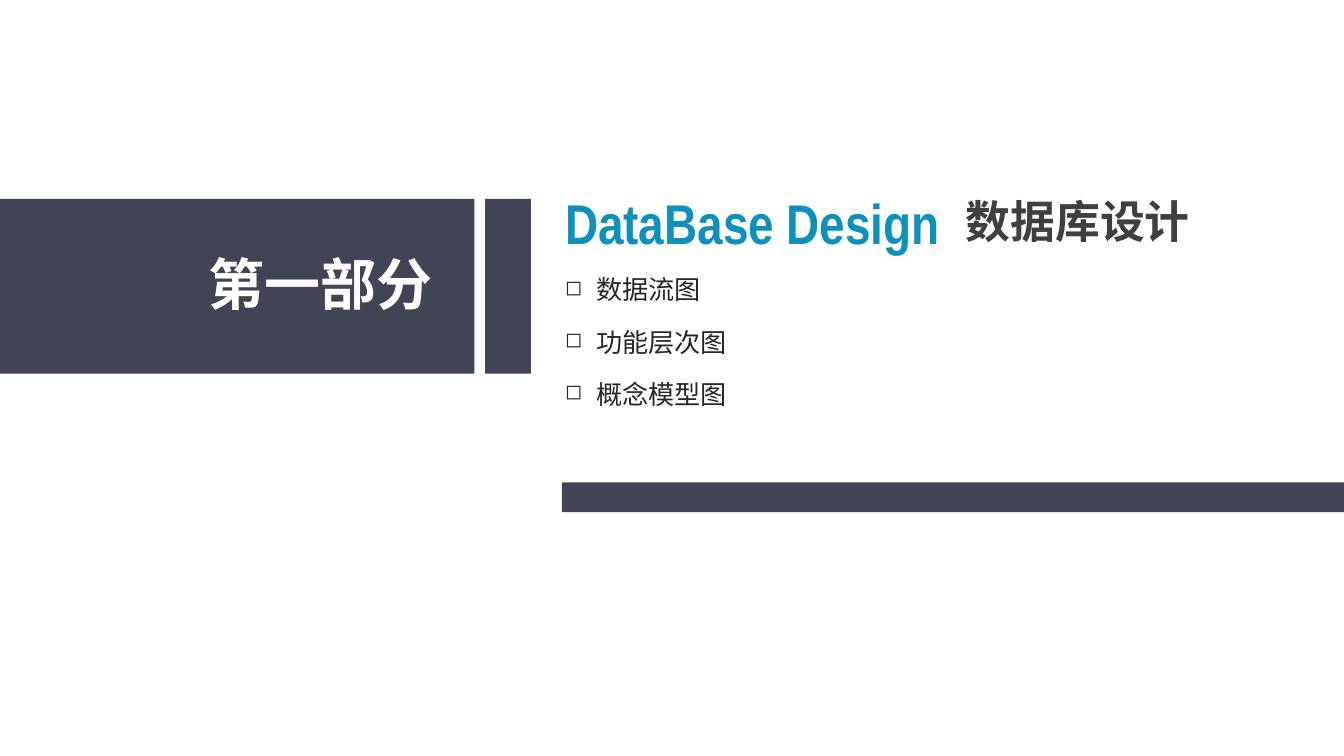
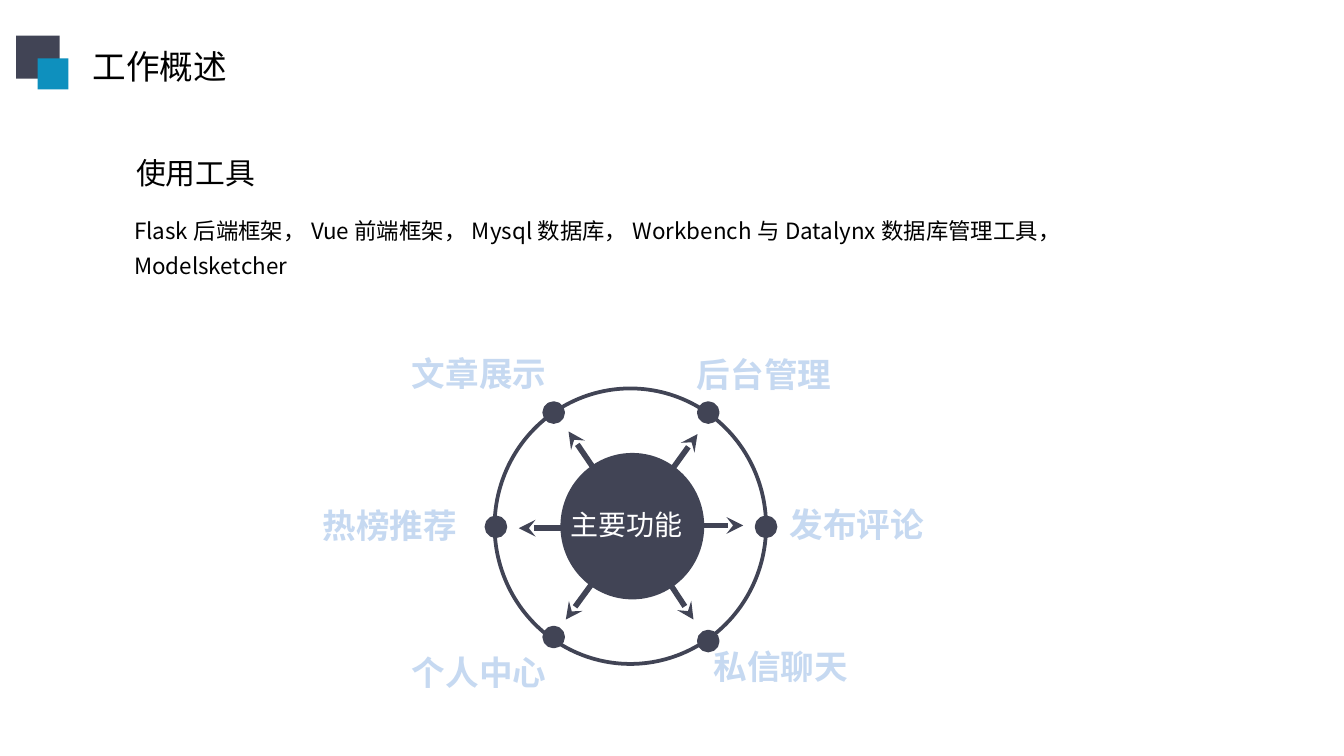
from typing import NamedTuple, Optional

from lxml.etree import SubElement
from pptx import Presentation
from pptx.dml.color import RGBColor
from pptx.enum.shapes import MSO_CONNECTOR, MSO_SHAPE
from pptx.enum.text import MSO_AUTO_SIZE as AutoSize, PP_ALIGN as Align
from pptx.oxml.ns import qn
from pptx.util import Inches, Pt

COLORS = {
    "navy": "414455",
    "blue": "0E90BE",
    "pale": "C6D9F1",
    "white": "FFFFFF",
    "black": "000000",
    "ink": "262626",
    "gray": "3F3F3F",
}
CJK = "Noto Sans CJK SC"
COLUMNS, ROWS = 100, 56.25  # square grid cells over the whole slide
CELL = Inches(0.1)
SNUG = (0.07, 0.04)  # text insets of the section slide, inches
BULLET_INDENT = Inches(0.23)
BULLET_SCALE = 80000  # thousandths of a percent of the text size


class Box(NamedTuple):
    col: float
    row: float
    cols: float
    rows: float


class Point(NamedTuple):
    col: float
    row: float


class Feature(NamedTuple):
    label: str
    label_box: Box
    dot: Point
    arrow_start: Point
    arrow_end: Point


def grid(*cells: float) -> list[int]:
    return [round(cell * CELL) for cell in cells]


def rgb(name: str) -> RGBColor:
    return RGBColor.from_string(COLORS[name])


def draw_shape(slide, kind, box: Box, fill: Optional[str] = "navy",
               outline: float = 0) -> None:
    shape = slide.shapes.add_shape(kind, *grid(*box))
    shape.shadow.inherit = False
    if fill:
        shape.fill.solid()
        shape.fill.fore_color.rgb = rgb(fill)
    else:
        shape.fill.background()
    if outline:
        shape.line.color.rgb = rgb("navy")
        shape.line.width = Pt(outline)
    else:
        shape.line.fill.background()


def draw_text(slide, text: str, box: Box, *, size: float,
              color: str = "black", font: str = CJK, bold: bool = False,
              align: Align = Align.LEFT, wrap: bool = False,
              insets: tuple[float, float] = (0.1, 0.05),
              spacing: float = 1, bullet: str = "") -> None:
    frame = slide.shapes.add_textbox(*grid(*box)).text_frame
    frame.word_wrap = wrap
    frame.auto_size = AutoSize.SHAPE_TO_FIT_TEXT
    frame.margin_left = frame.margin_right = Inches(insets[0])
    frame.margin_top = frame.margin_bottom = Inches(insets[1])

    paragraph = frame.paragraphs[0]
    paragraph.alignment = align
    paragraph.line_spacing = spacing
    if bullet:
        properties = paragraph._p.get_or_add_pPr()
        properties.set("marL", str(BULLET_INDENT))
        properties.set("indent", str(-BULLET_INDENT))
        SubElement(properties, qn("a:buSzPct")).set("val", str(BULLET_SCALE))
        SubElement(properties, qn("a:buChar")).set("char", bullet)

    run = paragraph.add_run()
    run.text = text
    run.font.size = Pt(size)
    run.font.bold = bold
    run.font.color.rgb = rgb(color)
    run.font.name = font
    SubElement(run._r.get_or_add_rPr(), qn("a:ea")).set("typeface", font)


def draw_arrow(slide, start: Point, end: Point) -> None:
    arrow = slide.shapes.add_connector(
        MSO_CONNECTOR.STRAIGHT, *grid(*start, *end))
    arrow.line.color.rgb = rgb("navy")
    arrow.line.width = Pt(3)
    properties = arrow._element.spPr
    line = properties.find(qn("a:ln"))
    SubElement(line, qn("a:tailEnd")).set("type", "stealth")
    SubElement(properties, qn("a:effectLst"))


# Section slide
BAND_TOP, BAND_ROWS = 14.8, 13
SECTION_BANDS = [
    Box(0, BAND_TOP, 35.3, BAND_ROWS),
    Box(36.1, BAND_TOP, 3.4, BAND_ROWS),
    Box(41.8, 35.9, COLUMNS - 41.8, 2.2),
]
TOPICS = ["数据流图", "功能层次图", "概念模型图"]
TOPIC_COL, TOPIC_TOP, TOPIC_STEP = 41.35, 19.95, 3.9


def build_section(slide) -> None:
    for band in SECTION_BANDS:
        draw_shape(slide, MSO_SHAPE.RECTANGLE, band)
    draw_text(slide, "第一部分", Box(14.8, 18.2, 18.4, 5.8), size=30,
              color="white", bold=True, insets=SNUG)
    draw_text(slide, "DataBase Design", Box(TOPIC_COL, 13.6, 30.7, 5.8),
              size=30, color="blue", font="Arial Narrow", bold=True,
              insets=SNUG)
    draw_text(slide, "数据库设计", Box(71.15, 14, 18.3, 4.8), size=24,
              color="gray", bold=True, insets=SNUG)
    for index, topic in enumerate(TOPICS):
        width = 3.7 + 2 * len(topic)
        row = TOPIC_TOP + index * TOPIC_STEP
        draw_text(slide, topic, Box(TOPIC_COL, row, width, 3.1), size=14,
                  color="ink", insets=SNUG, bullet="◻")


# Overview slide
DOT_SIZE = 1.4
RING = Box(36.8, 28.9, 20.2, 20.5)
HUB = Box(41.7, 33.7, 10.7, 10.9)
FEATURES = [
    Feature("后台管理", Box(40.5, 25.85, 32.7, 4),
            Point(52, 30), Point(47, 39.1), Point(51.9, 32.3)),
    Feature("发布评论", Box(56.95, 37, 13.6, 4),
            Point(56.3, 38.5), Point(46.9, 39.1), Point(55.3, 39.1)),
    Feature("私信聊天", Box(33.1, 47.6, 50, 4),
            Point(52, 47), Point(47.2, 39.4), Point(51.6, 46.1)),
    Feature("个人中心", Box(10.65, 48, 50, 4),
            Point(40.5, 46.7), Point(47, 39.4), Point(42.1, 46.1)),
    Feature("热榜推荐", Box(21.8, 37.1, 14.4, 4),
            Point(36.2, 38.5), Point(46.9, 39.3), Point(38.6, 39.3)),
    Feature("文章展示", Box(10.65, 25.75, 50, 4),
            Point(40.5, 30), Point(47, 39), Point(42.3, 32.1)),
]


def draw_title(slide, title: str) -> None:
    draw_shape(slide, MSO_SHAPE.RECTANGLE, Box(1.2, 2.65, 3.25, 3.2))
    draw_shape(slide, MSO_SHAPE.RECTANGLE, Box(2.8, 4.35, 2.3, 2.3), "blue")
    draw_text(slide, title, Box(5.9, 2.9, 12.1, 4), size=18)


def draw_feature_wheel(slide) -> None:
    draw_shape(slide, MSO_SHAPE.OVAL, RING, fill=None, outline=2)
    for feature in FEATURES:
        draw_shape(slide, MSO_SHAPE.OVAL,
                   Box(*feature.dot, DOT_SIZE, DOT_SIZE), outline=2)
        draw_arrow(slide, feature.arrow_start, feature.arrow_end)
        draw_text(slide, feature.label, feature.label_box, size=18,
                  color="pale", font="Arial", bold=True,
                  align=Align.CENTER, wrap=True)
    # The hub covers the inner ends of the arrows
    draw_shape(slide, MSO_SHAPE.OVAL, HUB)
    draw_text(slide, "主要功能", Box(41.5, 37.3, 11.1, 3.5), size=15,
              color="white")


def build_overview(slide) -> None:
    draw_title(slide, "工作概述")
    draw_text(slide, "使用工具", Box(9.15, 11, 11, 3.7), size=16)
    draw_text(slide, "Flask后端框架，Vue前端框架，Mysql数据库，"
              "Workbench与Datalynx数据库管理工具，Modelsketcher",
              Box(9, 15.05, 82, 3.4), size=12, wrap=True, spacing=1.3)
    draw_feature_wheel(slide)


def main() -> None:
    deck = Presentation()
    deck.slide_width, deck.slide_height = grid(COLUMNS, ROWS)
    blank = deck.slide_layouts[6]
    for build in (build_section, build_overview):
        build(deck.slides.add_slide(blank))
    deck.save("out.pptx")


if __name__ == "__main__":
    main()
